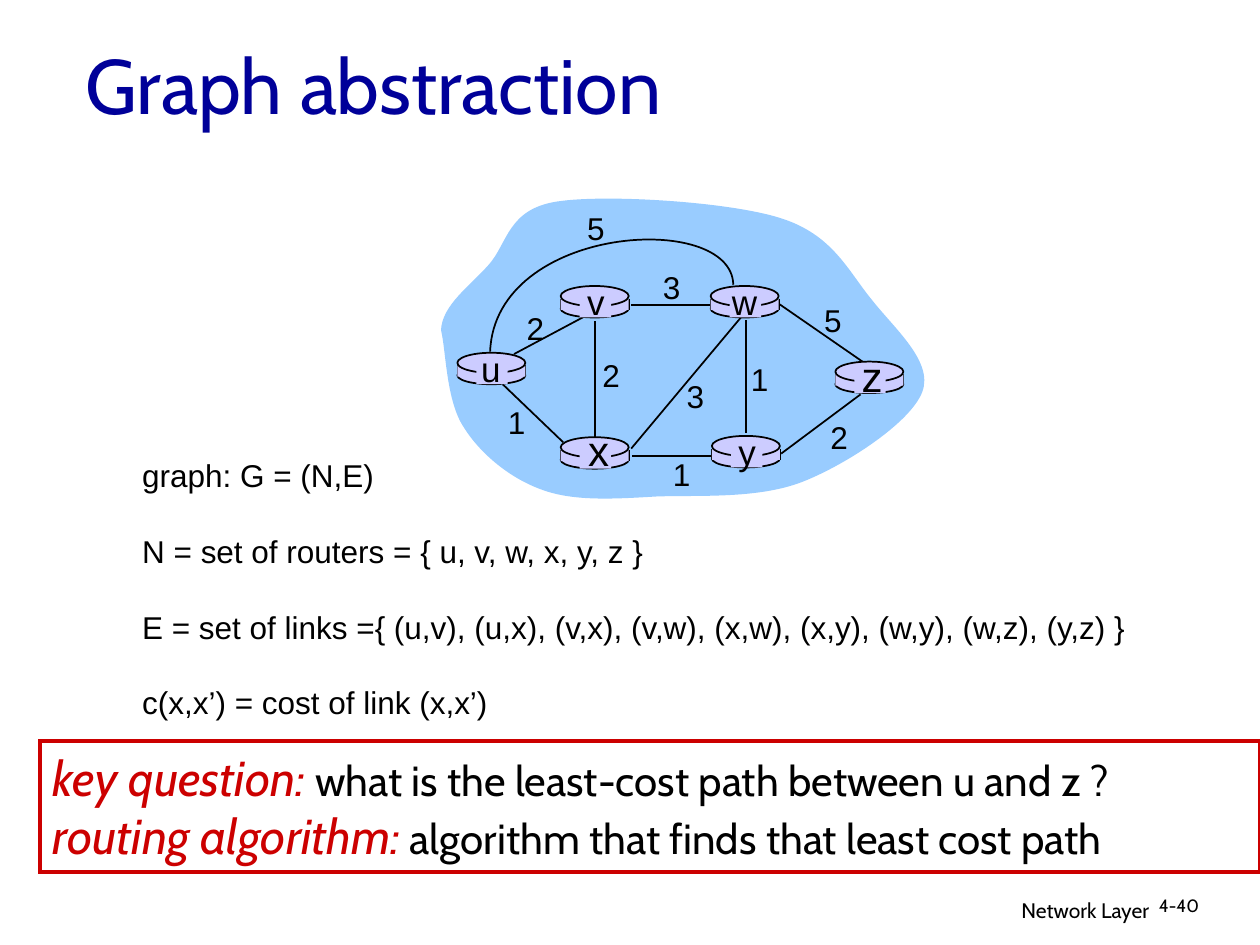
"""Build a slide that presents a network as a graph with link costs."""
from dataclasses import dataclass

import lxml.etree
import pptx
import pptx.dml.color
import pptx.enum.shapes
import pptx.enum.text
import pptx.oxml.ns
import pptx.util

Inches = pptx.util.Inches
ShapeKind = pptx.enum.shapes.MSO_SHAPE
Align = pptx.enum.text.PP_ALIGN
Anchor = pptx.enum.text.MSO_ANCHOR
qualified = pptx.oxml.ns.qn


@dataclass(frozen=True)
class Theme:
    """Colours, fonts and type sizes of the slide."""
    ink: str = "000000"
    title: str = "000099"
    accent: str = "CC0000"
    cloud: str = "99CCFF"
    router: str = "CCCCFF"
    sans: str = "Arial"
    display: str = "Cabin"
    title_size: float = 44
    key_size: float = 28
    answer_size: float = 24
    body_size: float = 18
    footer_size: float = 12
    number_size: float = 10.2


THEME = Theme()

CLOUD = [
    (3.5, 2.62),
    (3.51, 2.42), (3.73, 2.27), (3.88, 2.1),
    (4.03, 1.93), (4.03, 1.66), (4.42, 1.6),
    (4.8, 1.54), (5.78, 1.6), (6.19, 1.73),
    (6.61, 1.86), (6.73, 2.15), (6.92, 2.38),
    (7.1, 2.61), (7.41, 2.87), (7.32, 3.11),
    (7.23, 3.35), (6.73, 3.68), (6.38, 3.82),
    (6.03, 3.96), (5.57, 3.93), (5.22, 3.94),
    (4.88, 3.96), (4.56, 3.98), (4.31, 3.89),
    (4.05, 3.8), (3.81, 3.6), (3.68, 3.39),
    (3.54, 3.18), (3.54, 2.78), (3.5, 2.62),
]
ARC = [(5.82, 2.26), (5.81, 1.67), (3.93, 1.78), (3.89, 2.79)]

ROUTERS = [
    ("u", (3.63, 2.8), (3.72, 2.71, 0.35, 0.44), 20),
    ("x", (4.45, 3.47), (4.57, 3.32, 0.36, 0.5), 24),
    ("v", (4.45, 2.27), (4.56, 2.18, 0.34, 0.44), 20),
    ("w", (5.64, 2.27), (5.71, 2.18, 0.4, 0.44), 20),
    ("y", (5.65, 3.46), (5.76, 3.37, 0.34, 0.44), 20),
    ("z", (6.63, 2.87), (6.74, 2.73, 0.36, 0.5), 24),
]
LINKS = [
    ((4.08, 2.81), (4.68, 2.49)), ((5.92, 2.54), (5.92, 3.44)),
    ((4.72, 2.55), (4.72, 3.48)), ((5.01, 3.56), (5.88, 2.52)),
    ((6.2, 3.6), (6.83, 3.13)), ((5.65, 3.62), (5.02, 3.62)),
    ((4.47, 3.51), (3.99, 3.05)), ((5.64, 2.42), (5.01, 2.42)),
    ((6.86, 2.88), (6.18, 2.41)),
]
COSTS = [
    ("2", 4.08, 2.4), ("2", 4.68, 2.78), ("1", 3.93, 3.15), ("3", 5.35, 2.94),
    ("1", 5.24, 3.56), ("1", 5.86, 2.81), ("2", 6.49, 3.27), ("5", 6.44, 2.34),
    ("3", 5.16, 2.08), ("5", 4.56, 1.61),
]
DEFINITIONS = [
    "graph: G = (N,E)",
    "N = set of routers = { u, v, w, x, y, z }",
    "E = set of links ={ (u,v), (u,x), (v,x), (v,w), (x,w), (x,y), (w,y), (w,z), (y,z) }",
    "c(x,x’) = cost of link (x,x’)",
]
KEY_POINTS = [
    ("key question:", " what is the least-cost path between u and z ?"),
    ("routing algorithm:", " algorithm that finds that least cost path"),
]


def rgb(value):
    """Return a colour object for a hex string."""
    return pptx.dml.color.RGBColor.from_string(value)


def style_font(font, size, name, color=THEME.ink, italic=False):
    """Set size, family, colour and slant of a font."""
    font.size = pptx.util.Pt(size)
    font.name = name
    font.color.rgb = rgb(color)
    font.italic = italic


def paint(shape, fill=None, line=None, width=1):
    """Set fill and outline of a shape, leaving out whichever is not given."""
    shape.shadow.inherit = False
    if fill:
        shape.fill.solid()
        shape.fill.fore_color.rgb = rgb(fill)
    else:
        shape.fill.background()
    if line:
        shape.line.color.rgb = rgb(line)
        shape.line.width = pptx.util.Pt(width)
    else:
        shape.line.fill.background()


def add_block(shapes, kind, box, fill=None, line=None, width=1):
    """Add a painted preset shape at a box given in inches."""
    shape = shapes.add_shape(kind, *map(Inches, box))
    paint(shape, fill, line, width)
    return shape


def add_text(shapes, lines, box, size, name, align=Align.LEFT, wrap=True, gap=0):
    """Add a text box with one paragraph per line and return its paragraphs."""
    text_frame = shapes.add_textbox(*map(Inches, box)).text_frame
    text_frame.word_wrap = wrap
    text_frame.text = "\n".join(lines)
    for index, paragraph in enumerate(text_frame.paragraphs):
        paragraph.alignment = align
        paragraph.space_before = pptx.util.Pt(gap if index else 0)
        style_font(paragraph.runs[0].font, size, name)
    return text_frame.paragraphs


def add_line(shapes, start, end):
    """Add a thin straight line between two points."""
    connector = shapes.add_connector(
        pptx.enum.shapes.MSO_CONNECTOR.STRAIGHT, *map(Inches, start + end))
    connector.line.color.rgb = rgb(THEME.ink)
    connector.line.width = pptx.util.Pt(1)
    lxml.etree.SubElement(connector._element.spPr, qualified("a:effectLst"))


def add_curve(shapes, points, close, fill=None, line=None):
    """Add a freeform whose points after the first are cubic Bezier triples."""
    corners = [tuple(map(Inches, point)) for point in points]
    builder = shapes.build_freeform(*corners[0])
    builder.add_line_segments(corners[1:], close=close)
    shape = builder.convert_to_shape()
    segments = list(shape._element.iter(qualified("a:lnTo")))
    for index in range(0, len(segments), 3):
        curve = lxml.etree.Element(qualified("a:cubicBezTo"))
        segments[index].addprevious(curve)
        for segment in segments[index:index + 3]:
            curve.append(segment[0])
            segment.getparent().remove(segment)
    paint(shape, fill, line)


def add_router(shapes, name, corner, letter_box, size):
    """Add a router drum with its letter."""
    left, top = corner
    width = 0.54
    add_block(shapes, ShapeKind.OVAL, (left, top + 0.11, width, 0.14), THEME.router, THEME.ink)
    for side in (left, left + width):
        add_line(shapes, (side, top + 0.1), (side, top + 0.19))
    add_block(shapes, ShapeKind.RECTANGLE, (left, top + 0.1, width, 0.09), THEME.router)
    add_block(shapes, ShapeKind.OVAL, (left, top, width, 0.16), THEME.router, THEME.ink)
    add_block(shapes, ShapeKind.RECTANGLE, (left + 0.15, top + 0.02, 0.25, 0.23), THEME.router)
    add_text(shapes, [name], letter_box, size, THEME.sans, Align.CENTER, wrap=False)


def add_network(slide):
    """Add the grouped graph: cloud, links, routers and costs."""
    shapes = slide.shapes.add_group_shape().shapes
    add_curve(shapes, CLOUD, True, fill=THEME.cloud)
    for start, end in LINKS:
        add_line(shapes, start, end)
    add_curve(shapes, ARC, False, line=THEME.ink)
    for router in ROUTERS:
        add_router(shapes, *router)
    for cost, left, top in COSTS:
        add_text(shapes, [cost], (left, top, 0.34, 0.4), THEME.body_size, THEME.sans,
                 Align.CENTER, wrap=False)


def set_title(slide, text):
    """Fill and place the title placeholder."""
    title = slide.shapes.title
    title.left, title.top, title.width, title.height = map(Inches, (0.58, 0.23, 8.5, 0.87))
    title.text_frame.text = text
    title.text_frame.vertical_anchor = Anchor.MIDDLE
    paragraph = title.text_frame.paragraphs[0]
    paragraph.alignment = Align.LEFT
    style_font(paragraph.runs[0].font, THEME.title_size, THEME.display, THEME.title)


def add_key_box(slide):
    """Add the outlined box with the key question and its answer."""
    shape = add_block(slide.shapes, ShapeKind.RECTANGLE, (0.32, 5.88, 9.68, 1.04),
                      line=THEME.accent, width=2.25)
    lxml.etree.SubElement(shape._element.spPr.find(qualified("a:ln")),
                          qualified("a:miter"), lim="800000")
    text_frame = shape.text_frame
    text_frame.word_wrap = True
    text_frame.vertical_anchor = Anchor.TOP
    text_frame.text = "\n".join(term for term, _ in KEY_POINTS)
    for paragraph, (_, meaning) in zip(text_frame.paragraphs, KEY_POINTS):
        paragraph.alignment = Align.LEFT
        style_font(paragraph.runs[0].font, THEME.key_size, THEME.display, THEME.accent, True)
        run = paragraph.add_run()
        run.text = meaning
        style_font(run.font, THEME.answer_size, THEME.display)


def main():
    """Build the slide and save it."""
    presentation = pptx.Presentation()
    presentation.slide_width, presentation.slide_height = Inches(10), Inches(7.5)
    slide = presentation.slides.add_slide(presentation.slide_layouts.get_by_name("Title Only"))
    set_title(slide, "Graph abstraction")
    add_text(slide.shapes, ["Network Layer"], (6.05, 7.07, 3.17, 0.31),
             THEME.footer_size, THEME.display, Align.RIGHT)
    number = add_text(slide.shapes, ["4-40"], (9.1, 7.07, 0.74, 0.3),
                      THEME.number_size, THEME.display)
    number[0].line_spacing = 0.9
    add_network(slide)
    add_text(slide.shapes, DEFINITIONS, (1.03, 3.57, 8.09, 2.5),
             THEME.body_size, THEME.sans, gap=21.7)
    add_key_box(slide)
    presentation.save("out.pptx")


if __name__ == "__main__":
    main()
